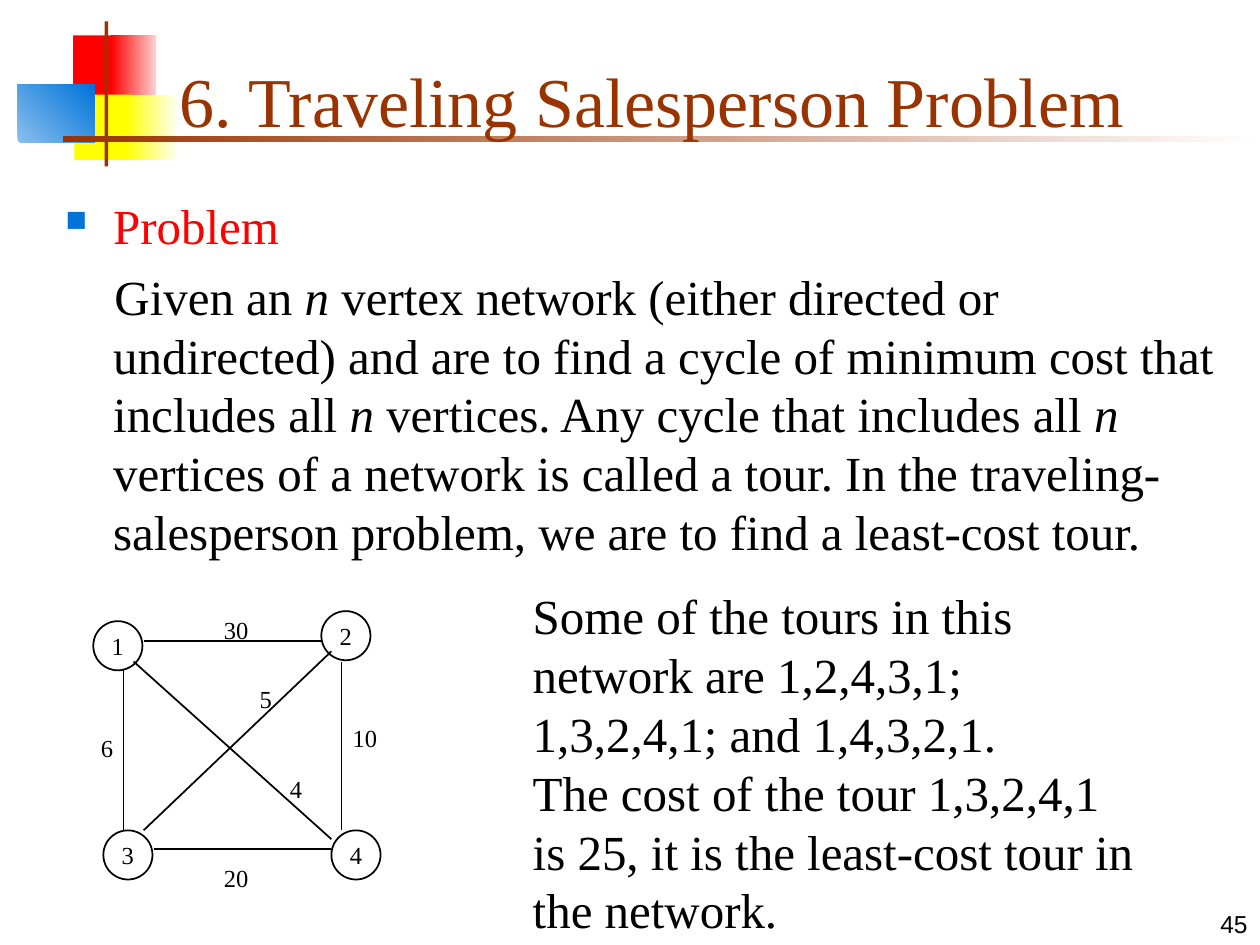
"""Build the Traveling Salesperson Problem slide on a grid of 100 columns by 75 rows."""
from lxml.etree import SubElement
from pptx import Presentation
from pptx.dml.color import RGBColor
from pptx.enum.shapes import MSO_CONNECTOR as Link, MSO_SHAPE as Shape
from pptx.enum.text import MSO_ANCHOR as Anchor, PP_ALIGN as Align
from pptx.oxml.ns import qn
from pptx.util import Inches, Pt

COLORS = {
    "black": "000000", "white": "FFFFFF", "red": "FF0000", "pink": "FFD1D1",
    "yellow": "FFFF00", "cream": "FFFFF0", "sky": "8BBFEE", "blue": "0073D9",
    "brown": "993300",
}
SERIF = "Times New Roman"
NODE = 3.9

deck = Presentation()
deck.slide_width, deck.slide_height = Inches(10), Inches(7.5)
column, row = deck.slide_width / 100, deck.slide_height / 75
page = deck.slides.add_slide(deck.slide_layouts[6])
shapes = page.shapes


def grid(left, top, width, height):
    return [int(left * column), int(top * row), int(width * column), int(height * row)]


def write(box, paragraphs, size, color="black", font=SERIF, align=Align.LEFT,
          anchor=Anchor.TOP, wrap=True):
    frame = box.text_frame
    frame.word_wrap, frame.vertical_anchor = wrap, anchor
    for index, pieces in enumerate(paragraphs):
        para = frame.paragraphs[0] if index == 0 else frame.add_paragraph()
        para.alignment = align
        for position, piece in enumerate(pieces):
            span = para.add_run()
            span.text = piece
            span.font.size, span.font.name = Pt(size), font
            span.font.italic = position % 2 == 1
            span.font.color.rgb = RGBColor.from_string(COLORS[color])
    return frame


decorations = [
    ((5.8, 2.8, 3.5, 5.2), ["red"], 0),
    ((8.8, 2.8, 3.6, 5.2), ["red", "pink"], 0),
    ((5.9, 7.5, 4.6, 5.2), ["yellow"], 0),
    ((10, 7.5, 4, 5.2), ["yellow", "cream"], 0),
    ((1.4, 6.7, 6.1, 4.6), ["sky", "blue"], 45),
    ((8.3, 1.7, 0.3, 11.5), ["brown"], 0),
    ((5, 10.8, 95, 0.5), ["brown", "white"], 0),
]
for area, fills, angle in decorations:
    block = shapes.add_shape(Shape.RECTANGLE, *grid(*area))
    block.shadow.inherit = False
    block.line.fill.background()
    if len(fills) == 1:
        block.fill.solid()
        block.fill.fore_color.rgb = RGBColor.from_string(COLORS[fills[0]])
    else:
        block.fill.gradient()
        block.fill.gradient_angle = angle
        for stop, name in zip(block.fill.gradient_stops, fills):
            stop.color.rgb = RGBColor.from_string(COLORS[name])

number = shapes.add_textbox(*grid(79.2, 70, 20.8, 5))
write(number, [["45"]], 14, font="Arial", align=Align.RIGHT, anchor=Anchor.BOTTOM)
title = shapes.add_textbox(*grid(13.3, 2.5, 85.2, 9.2))
write(title, [["6. Traveling Salesperson Problem"]], 40, "brown", anchor=Anchor.BOTTOM)

problem = [
    "Given an ", "n",
    " vertex network (either directed or undirected) and are to find a cycle of "
    "minimum cost that includes all ", "n",
    " vertices. Any cycle that includes all ", "n",
    " vertices of a network is called a tour. In the traveling-salesperson problem, "
    "we are to find a least-cost tour.",
]
body = shapes.add_textbox(*grid(4.2, 15, 93.8, 60))
heading, statement = write(body, [["Problem"], problem], 28).paragraphs
heading.runs[0].font.color.rgb = RGBColor.from_string(COLORS["red"])
for para, indent in ((heading, -3.8), (statement, 0.1)):
    para.space_before = Pt(7)
    properties = para._p.get_or_add_pPr()
    properties.set("marL", str(int(3.8 * column)))
    properties.set("indent", str(int(indent * column)))
properties = heading._p.get_or_add_pPr()
bullet_color = SubElement(properties, qn("a:buClr"))
SubElement(bullet_color, qn("a:srgbClr"), val=COLORS["blue"])
SubElement(properties, qn("a:buSzPct"), val="60000")
SubElement(properties, qn("a:buChar"), char="■")

tours = shapes.add_textbox(*grid(41.3, 46, 50.4, 29))
write(tours, [
    ["Some of the tours in this network are 1,2,4,3,1; 1,3,2,4,1; and 1,4,3,2,1."],
    ["The cost of the tour 1,3,2,4,1 is 25, it is the least-cost tour in the network."],
], 28)

vertices = [(7.4, 49.3), (25.5, 48.5), (8.2, 65.9), (26.3, 65.9)]
for label, (left, top) in enumerate(vertices, 1):
    vertex = shapes.add_shape(Shape.OVAL, *grid(left, top, NODE, NODE))
    vertex.shadow.inherit = False
    vertex.fill.solid()
    vertex.fill.fore_color.rgb = RGBColor.from_string(COLORS["white"])
    vertex.line.color.rgb = RGBColor.from_string(COLORS["black"])
    vertex.line.width = Pt(1)
    write(vertex, [[str(label)]], 14, align=Align.CENTER, anchor=Anchor.MIDDLE, wrap=False)

edges = [
    ((11.4, 50.9, 25.5, 50.9), "30", (16.8, 48.3)),
    ((9.8, 53.2, 9.8, 65.9), "6", (7, 57.7)),
    ((27.1, 52.5, 27.1, 65.9), "10", (27, 56.9)),
    ((12.2, 67.4, 26.3, 67.4), "20", (16.8, 68)),
    ((10.6, 52.5, 26.3, 66.6), "4", (22, 60.9)),
    ((26.3, 51.7, 11.4, 65.9), "5", (19.6, 53.8)),
]
for ends, cost, (left, top) in edges:
    edge = shapes.add_connector(Link.STRAIGHT, *grid(*ends))
    edge.line.color.rgb = RGBColor.from_string(COLORS["black"])
    edge.line.width = Pt(1)
    SubElement(edge._element.spPr, qn("a:effectLst"))
    tag = shapes.add_textbox(*grid(left, top, 2.1 + 0.9 * len(cost), 3.4))
    frame = write(tag, [[cost]], 14, align=Align.CENTER, wrap=False)
    frame.margin_left = frame.margin_right = 0

deck.save("out.pptx")
